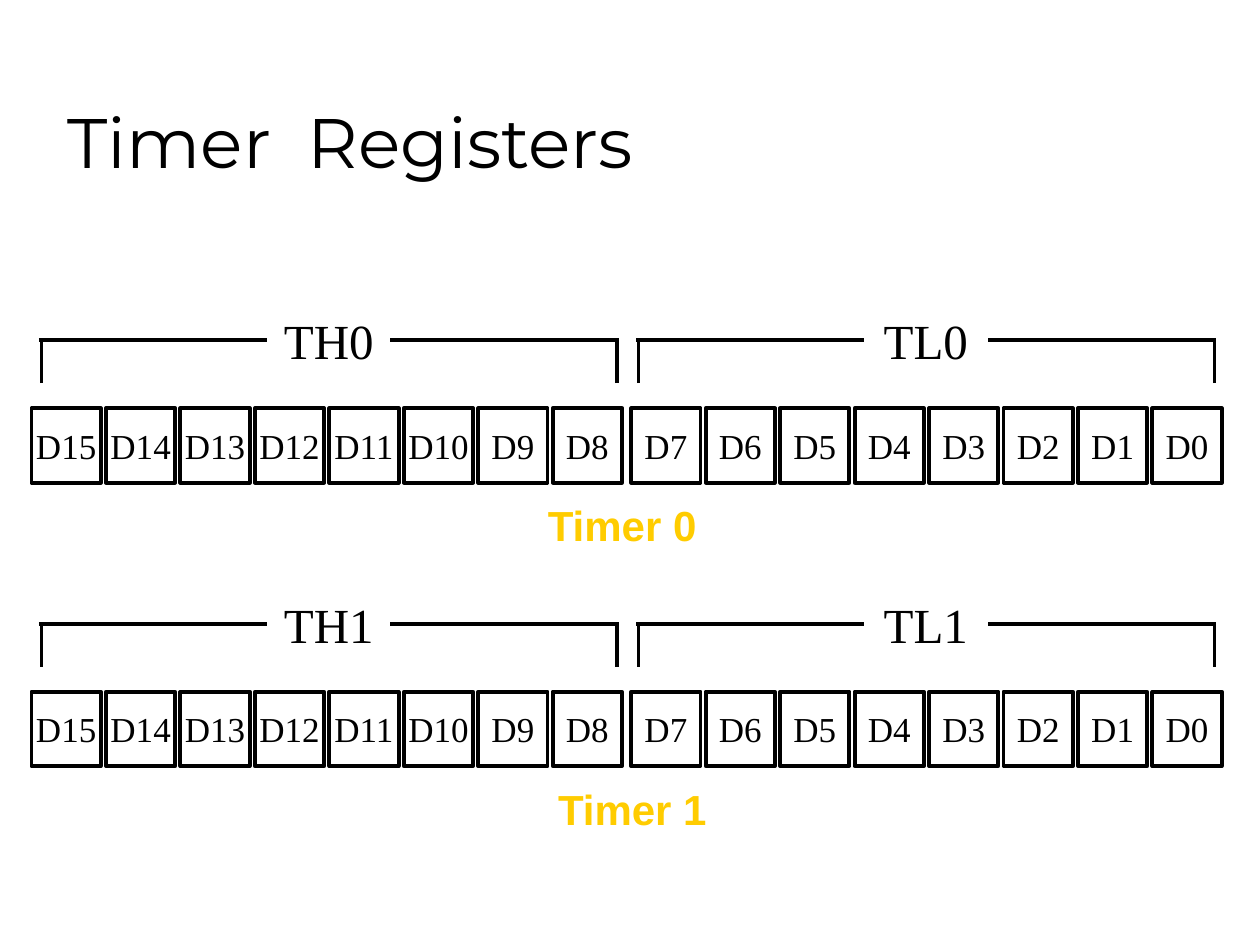
import pptx
import pptx.dml.color
import pptx.enum.shapes
import pptx.enum.text
import pptx.oxml.ns
import pptx.util
from lxml import etree

Pt = pptx.util.Pt
ALIGN = pptx.enum.text.PP_ALIGN
ANCHOR = pptx.enum.text.MSO_ANCHOR
FIT = pptx.enum.text.MSO_AUTO_SIZE

COLORS = {"ink": "000000", "gold": "FFCC00"}
FORMATS = {
    "title": {"name": "Montserrat", "size": Pt(40), "bold": False},
    "bit": {"name": "Times New Roman", "size": Pt(20), "bold": False},
    "register": {"name": "Times New Roman", "size": Pt(28), "bold": False},
    "timer": {"name": "Arial", "size": Pt(24), "bold": True},
}


def color(name):
    return pptx.dml.color.RGBColor.from_string(COLORS[name])


class RegisterSlide:
    line_width = Pt(2.25)

    def __init__(self, deck):
        self.page = deck.slides.add_slide(deck.slide_layouts[5])
        self.shapes = self.page.shapes

    def start_group(self):
        self.shapes = self.page.shapes.add_group_shape().shapes

    def end_group(self):
        self.shapes = self.page.shapes

    def set_text(self, box, text, style, ink="ink", align=ALIGN.LEFT,
                 insets=(7.2, 3.6), **frame_format):
        frame = box.text_frame
        frame.margin_left = frame.margin_right = Pt(insets[0])
        frame.margin_top = frame.margin_bottom = Pt(insets[1])
        for name, value in frame_format.items():
            setattr(frame, name, value)
        para = frame.paragraphs[0]
        para.alignment = align
        span = para.add_run()
        span.text = text
        for name, value in FORMATS[style].items():
            setattr(span.font, name, value)
        span.font.color.rgb = color(ink)

    def title(self, text, left, top, width, height):
        box = self.page.shapes.title
        box.left, box.top = Pt(left), Pt(top)
        box.width, box.height = Pt(width), Pt(height)
        self.set_text(box, text, "title", vertical_anchor=ANCHOR.BOTTOM,
                      auto_size=FIT.NONE, word_wrap=True)

    def label(self, text, left, top, width, height, style, **options):
        box = self.shapes.add_textbox(Pt(left), Pt(top), Pt(width), Pt(height))
        self.set_text(box, text, style, vertical_anchor=ANCHOR.TOP,
                      auto_size=FIT.SHAPE_TO_FIT_TEXT, word_wrap=True,
                      **options)

    def cell(self, text, left, top, width, height):
        box = self.shapes.add_shape(pptx.enum.shapes.MSO_SHAPE.RECTANGLE,
                                    Pt(left), Pt(top), Pt(width), Pt(height))
        box.shadow.inherit = False
        box.fill.background()
        box.line.color.rgb = color("ink")
        box.line.width = self.line_width
        self.set_text(box, text, "bit", align=ALIGN.CENTER, insets=(0, 0.7),
                      vertical_anchor=ANCHOR.MIDDLE, word_wrap=False)

    def line(self, x1, y1, x2, y2):
        line = self.shapes.add_connector(
            pptx.enum.shapes.MSO_CONNECTOR.STRAIGHT,
            Pt(x1), Pt(y1), Pt(x2), Pt(y2))
        line.line.color.rgb = color("ink")
        line.line.width = self.line_width
        etree.SubElement(line._element.spPr, pptx.oxml.ns.qn("a:effectLst"))

    def bracket(self, text, left, top):
        right, bar, arm = left + 331.2, top + 20.2, 130.4
        self.label(text, left + 126, top, 79.2, 41, "register",
                   align=ALIGN.CENTER)
        for tick, start, end in ((left + 1.4, left, left + arm),
                                 (right - 0.7, right, right - arm)):
            self.line(tick, bar + 24.5, tick, bar)
            self.line(start, bar, end, bar)

    def byte(self, high_bit, left, top):
        for column in range(8):
            self.cell(f"D{high_bit - column}", left + column * 42.55, top,
                      39.6, 42.5)


def main():
    deck = pptx.Presentation()
    deck.slide_width, deck.slide_height = Pt(720), Pt(540)
    slide = RegisterSlide(deck)
    slide.title("Timer  Registers", 31.5, 18, 612, 90)

    # Each timer: high and low byte with their brackets, then its caption
    for timer, caption_left in enumerate((306, 311.8)):
        top = 174.2 + timer * 162
        slide.start_group()
        for half, name in enumerate(("TH", "TL")):
            slide.byte(15 - 8 * half, 18 + half * 342.7, top + 59.1)
            slide.bracket(f"{name}{timer}", 22.3 + half * 341.2, top)
        slide.end_group()
        slide.label(f"Timer {timer}", caption_left, top + 108, 144, 36,
                    "timer", ink="gold")

    deck.save("out.pptx")


if __name__ == "__main__":
    main()
